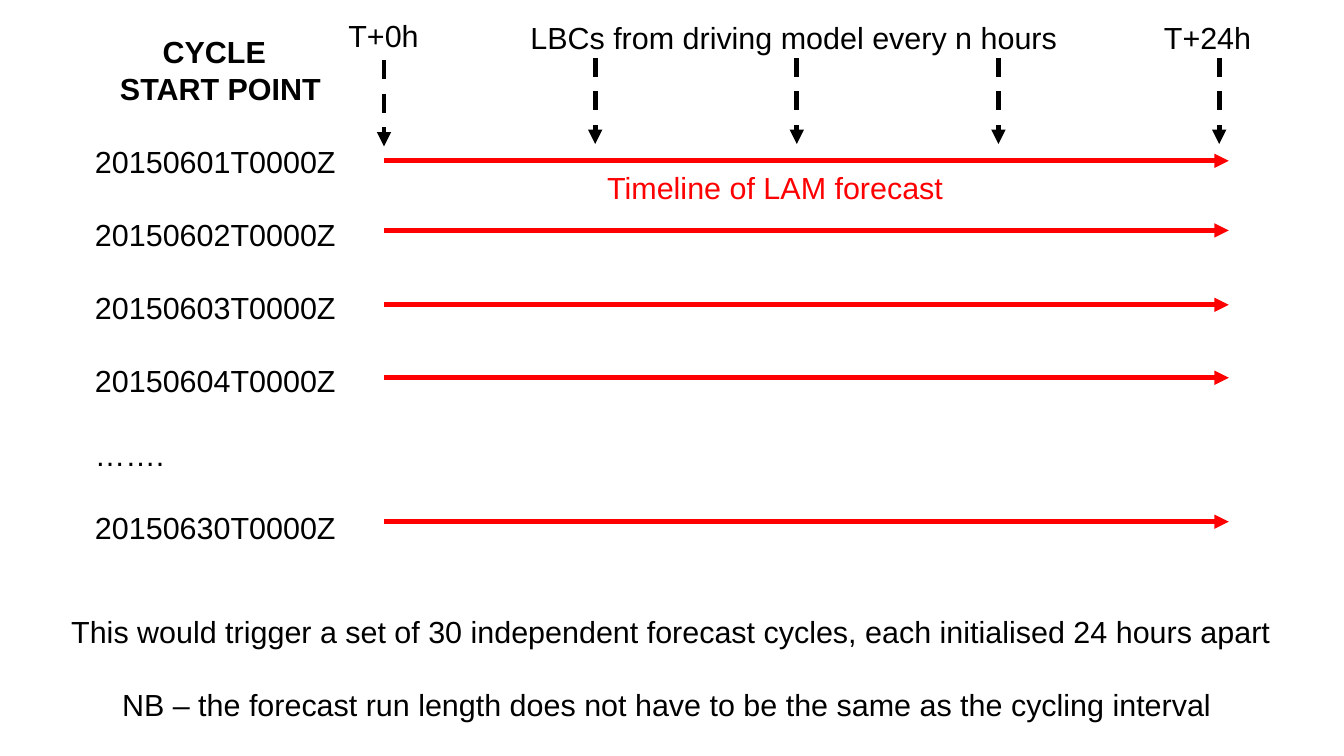
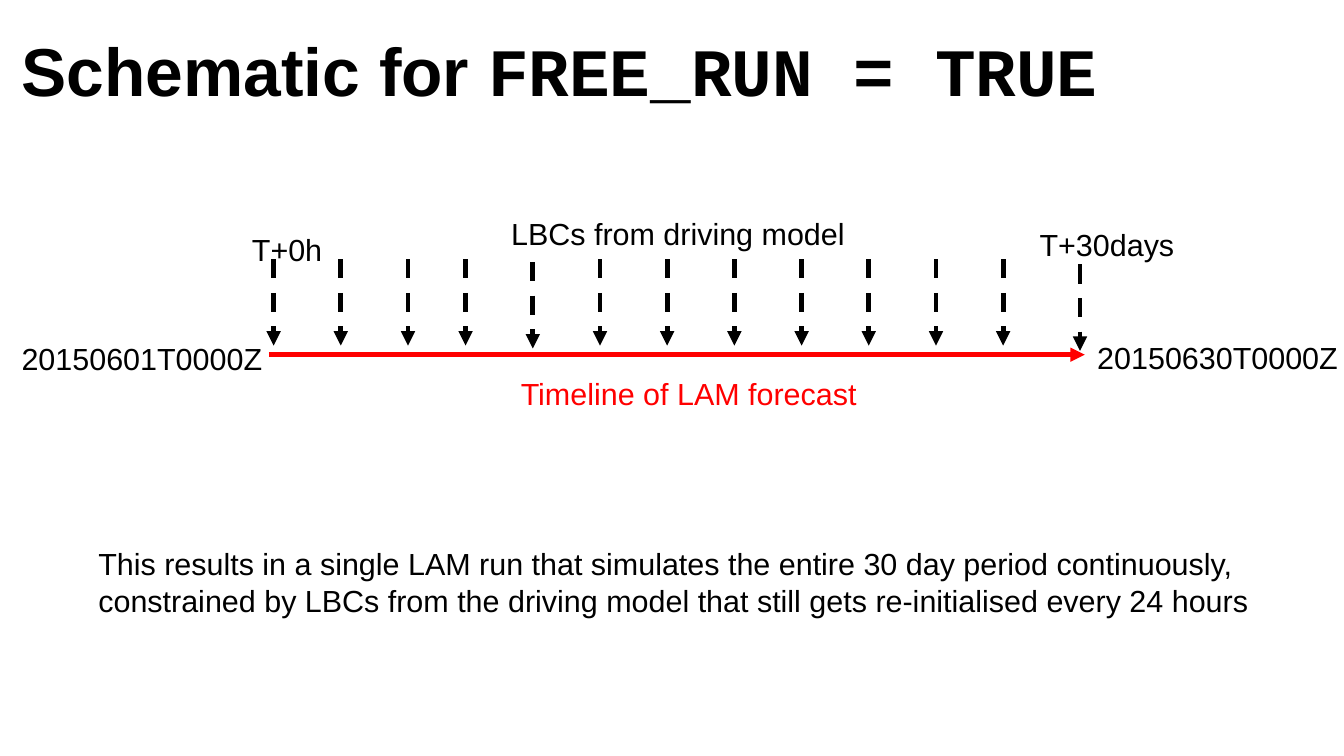
from pptx import Presentation
from pptx.dml.color import RGBColor
from pptx.enum.dml import MSO_LINE_DASH_STYLE as DASH
from pptx.enum.shapes import MSO_CONNECTOR
from pptx.enum.text import MSO_ANCHOR, PP_ALIGN
from pptx.oxml.ns import qn
from pptx.util import Cm, Pt
from lxml.etree import SubElement

BLACK, RED = "000000", "FF0000"
SANS, MONO = "Arial", "Courier New"
BODY, TITLE = 18, 40
LINE_FACTOR = 1.2
LINE_WIDTH = 2.83
TEXT_DROP = 0.04
DROP_LENGTH = 1.8

HEADING = [("CYCLE", 1.41), ("START POINT", 0.52)]
CYCLES = ["20150601T0000Z", "20150602T0000Z", "20150603T0000Z",
          "20150604T0000Z", "…….", "20150630T0000Z"]
CYCLE_LINES = [3.35, 4.8, 6.35, 7.87, 10.87]
CYCLE_SPAN = (8.0, 25.6)
CYCLE_DROPS = [(8.0, 1.25)] + [(12.4 + 4.2 * i, 1.2) for i in range(3)] + [(25.4, 1.2)]
CYCLE_NOTES = [
    "This would trigger a set of 30 independent forecast cycles, each initialised 24 hours apart",
    "NB – the forecast run length does not have to be the same as the cycling interval ",
]
CYCLE_LABELS = [
    ("T+0h", 7.01, 0.2, 2.8, BLACK),
    ("T+24h", 24.0, 0.23, 2.8, BLACK),
    ("LBCs from driving model every n hours", 10.8, 0.23, 13, BLACK),
    ("Timeline of LAM forecast", 12.4, 3.35, 10.8, RED),
]

FREE_TITLE = [("Schematic for ", SANS), ("FREE_RUN = TRUE", MONO)]
FREE_SPAN = (5.6, 22.6)
FREE_LINE = 7.39
FREE_DROPS = ([(5.7 + 1.4 * i, 5.4) for i in range(3)]
              + [(9.7 + 1.4 * i, 5.46 if i == 1 else 5.4) for i in range(9)]
              + [(22.5, 5.51)])
FREE_LABELS = [
    ("20150601T0000Z", 0.2, 6.92, 6.48, BLACK),
    ("20150630T0000Z", 22.61, 6.9, 5.39, BLACK),
    ("T+0h", 5.0, 4.65, 2.8, BLACK),
    ("T+30days", 21.41, 4.55, 4, BLACK),
    ("LBCs from driving model", 10.4, 4.32, 8.2, BLACK),
    ("Timeline of LAM forecast", 10.6, 7.64, 10.8, RED),
    ("This results in a single LAM run that simulates the entire 30 day period continuously, "
     "constrained by LBCs from the driving model that still gets re-initialised every 24 hours",
     1.8, 11.2, 26.1, BLACK),
]


def rgb(color):
    return RGBColor.from_string(color)


def add_run(p, text, size=BODY, color=BLACK, font=SANS, bold=False):
    r = p.add_run()
    r.text = text
    r.font.size = Pt(size)
    r.font.name = font
    r.font.bold = bold
    r.font.color.rgb = rgb(color)
    p.line_spacing = Pt(size * LINE_FACTOR)


def add_box(s, x, y, w, h=1.0):
    tf = s.shapes.add_textbox(Cm(x), Cm(y + TEXT_DROP), Cm(w), Cm(h)).text_frame
    tf.word_wrap = True
    tf.margin_right = 0
    return tf


def add_labels(s, labels):
    for text, x, y, w, color in labels:
        add_run(add_box(s, x, y, w).paragraphs[0], text, color=color)


def add_arrow(s, x1, y1, x2, y2, color, dashed=False):
    c = s.shapes.add_connector(MSO_CONNECTOR.STRAIGHT, Cm(x1), Cm(y1), Cm(x2), Cm(y2))
    c.line.color.rgb = rgb(color)
    c.line.width = Pt(LINE_WIDTH)
    if dashed:
        c.line.dash_style = DASH.DASH
    SubElement(c.line._get_or_add_ln(), qn("a:tailEnd"), type="triangle")
    SubElement(c._element.spPr, qn("a:effectLst"))


def add_timeline(s, span, y):
    add_arrow(s, span[0], y, span[1], y, RED)


def add_drops(s, drops):
    for x, y in drops:
        add_arrow(s, x, y, x, y + DROP_LENGTH, BLACK, dashed=True)


def next_paragraph(tf):
    return tf.add_paragraph() if tf.paragraphs[0].runs else tf.paragraphs[0]


def build_cycles(prs):
    s = prs.slides.add_slide(prs.slide_layouts[6])
    gap = Pt(BODY * LINE_FACTOR)
    tf = add_box(s, 1.73, 0.53, 6.48, 11.02)
    for text, indent in HEADING:
        p = next_paragraph(tf)
        p._p.get_or_add_pPr().set("marL", str(Cm(indent)))
        add_run(p, text, bold=True)
    for text in CYCLES:
        p = next_paragraph(tf)
        p.space_before = gap
        add_run(p, text)
    for y in CYCLE_LINES:
        add_timeline(s, CYCLE_SPAN, y)
    tf = add_box(s, 0.38, 12.6, 26.95, 2.57)
    for i, text in enumerate(CYCLE_NOTES):
        p = next_paragraph(tf)
        p.alignment = PP_ALIGN.CENTER
        p.space_before = gap * i
        add_run(p, text)
    add_drops(s, CYCLE_DROPS)
    add_labels(s, CYCLE_LABELS)


def build_free_run(prs):
    s = prs.slides.add_slide(prs.slide_layouts[5])
    sp = s.shapes.title
    sp.left, sp.top, sp.width, sp.height = Cm(0.2), Cm(0.47), Cm(26), Cm(1.96)
    tf = sp.text_frame
    tf.vertical_anchor = MSO_ANCHOR.TOP
    p = tf.paragraphs[0]
    p.alignment = PP_ALIGN.LEFT
    for text, font in FREE_TITLE:
        add_run(p, text, TITLE, font=font, bold=True)
    add_timeline(s, FREE_SPAN, FREE_LINE)
    add_drops(s, FREE_DROPS)
    add_labels(s, FREE_LABELS)


def main():
    prs = Presentation()
    prs.slide_width, prs.slide_height = Cm(28), Cm(15.75)
    build_cycles(prs)
    build_free_run(prs)
    prs.save("out.pptx")


if __name__ == "__main__":
    main()
